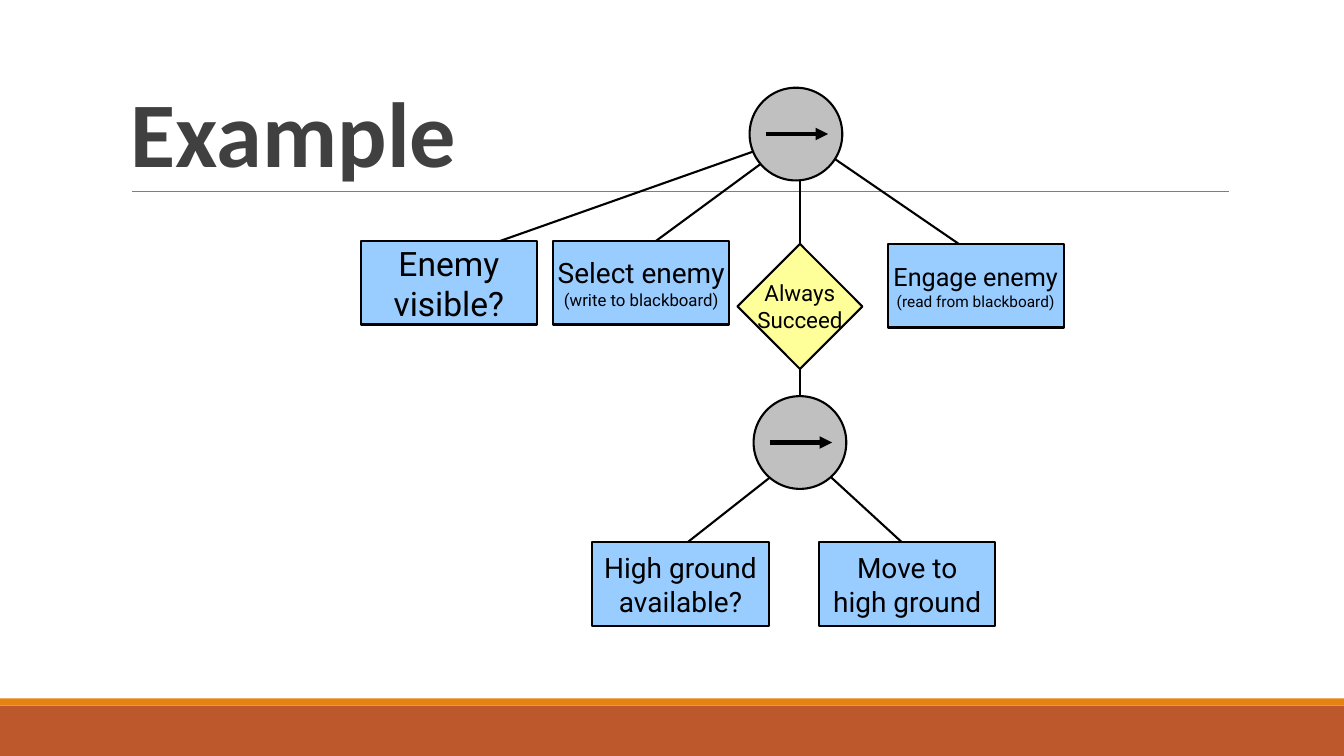
from dataclasses import dataclass
from lxml.etree import SubElement
from pptx import Presentation
from pptx.dml.color import RGBColor
from pptx.enum.shapes import MSO_CONNECTOR as Link, MSO_SHAPE as Shape
from pptx.enum.text import MSO_ANCHOR as Anchor, MSO_AUTO_SIZE as AutoSize, PP_ALIGN as Align
from pptx.oxml.ns import qn
from pptx.util import Inches, Pt


@dataclass(frozen=True)
class Theme:
    title_font: str = "Calibri"
    node_font: str = "Roboto"
    title_size: float = 66
    line_width: float = 1.5
    arrow_width: float = 3
    rule_width: float = 0.5
    title_color: str = "404040"
    ink: str = "000000"
    rule: str = "7F7F7F"
    band: str = "BD582C"
    stripe: str = "E48312"
    action: str = "99CCFF"
    decorator: str = "FFFF99"
    sequence: str = "C0C0C0"


@dataclass(frozen=True)
class Box:
    left: float
    top: float
    width: float
    height: float

    def inner(self, left, top, width, height):
        return Box(self.left + left, self.top + top, width, height)

    def point(self, x, y):
        return Inches(self.left + x), Inches(self.top + y)

    def lengths(self):
        return [Inches(side) for side in (self.left, self.top, self.width, self.height)]


THEME = Theme()
ACTION_SIZE = 1.75, 0.83
DECORATOR_SIZE = 1.24, 1.24
CIRCLE = 0.92
ARROW_LENGTH = 0.62
ARROW_START = 0.16, 0.46

ROOT = 4.36, 0.47
BRANCHES = [
    (ROOT, (0.82, 1.72)),
    (ROOT, (2.66, 1.72)),
    (ROOT, (4.36, 3.11)),
    (ROOT, (6.2, 1.73)),
    ((4.38, 3.6), (5.47, 4.6)),
    ((4.3, 3.68), (3.13, 4.6)),
]
ACTIONS = [
    ((0, 1.52), [("Enemy", 24), ("visible?", 24)]),
    ((1.91, 1.52), [("Select enemy", 20), ("(write to blackboard)", 12)]),
    ((5.23, 1.55), [("Engage enemy", 18), ("(read from blackboard)", 11)]),
    ((2.3, 4.51), [("High ground", 20), ("available?", 20)]),
    ((4.55, 4.51), [("Move to", 20), ("high ground", 20)]),
]
SEQUENCES = [(3.86, 0), (3.9, 3.06)]
DECORATOR = (3.74, 1.55), [("Always", 16), ("Succeed", 16)]


def add_block(page, kind, box, fill, outlined=True):
    block = page.shapes.add_shape(kind, *box.lengths())
    block.shadow.inherit = False
    block.fill.solid()
    block.fill.fore_color.rgb = RGBColor.from_string(fill)
    if outlined:
        block.line.color.rgb = RGBColor.from_string(THEME.ink)
        block.line.width = Pt(THEME.line_width)
    else:
        block.line.fill.background()
    return block


def add_line(page, box, start, end, color, width, arrow=False):
    line = page.shapes.add_connector(Link.STRAIGHT, *box.point(*start), *box.point(*end))
    line.line.color.rgb = RGBColor.from_string(color)
    line.line.width = Pt(width)
    if arrow:
        SubElement(line.line._get_or_add_ln(), qn("a:tailEnd"), type="triangle")
    SubElement(line._element.spPr, qn("a:effectLst"))


def add_node(page, kind, box, fill, lines):
    frame = add_block(page, kind, box, fill).text_frame
    frame.word_wrap = False
    frame.vertical_anchor = Anchor.MIDDLE
    for index, (text, size) in enumerate(lines):
        para = frame.paragraphs[0] if index == 0 else frame.add_paragraph()
        para.text = text
        para.alignment = Align.CENTER
        para.font.name = THEME.node_font
        para.font.size = Pt(size)
        para.font.color.rgb = RGBColor.from_string(THEME.ink)


def add_sequence(page, box):
    add_block(page, Shape.OVAL, box, THEME.sequence)
    x, y = ARROW_START
    add_line(page, box, (x, y), (x + ARROW_LENGTH, y), THEME.ink, THEME.arrow_width, arrow=True)


def add_footer(page, box):
    stripe_height = 0.07
    band = box.inner(0, stripe_height, box.width, box.height - stripe_height)
    add_block(page, Shape.RECTANGLE, band, THEME.band, outlined=False)
    stripe = box.inner(0, 0, box.width, stripe_height)
    add_block(page, Shape.RECTANGLE, stripe, THEME.stripe, outlined=False)


def add_heading(page, box, text):
    title = page.shapes.title
    title.left, title.top, title.width, title.height = box.lengths()
    frame = title.text_frame
    frame.word_wrap = True
    frame.auto_size = AutoSize.NONE
    frame.vertical_anchor = Anchor.BOTTOM
    para = frame.paragraphs[0]
    para.text = text
    para.alignment = Align.LEFT
    para.line_spacing = 0.85
    para.font.name = THEME.title_font
    para.font.size = Pt(THEME.title_size)
    para.font.bold = True
    para.font.color.rgb = RGBColor.from_string(THEME.title_color)
    add_line(page, box, (0.11, box.height), (box.width, box.height), THEME.rule, THEME.rule_width)


def add_behavior_tree(page, box):
    for start, end in BRANCHES:
        add_line(page, box, start, end, THEME.ink, THEME.line_width)
    for corner, lines in ACTIONS:
        add_node(page, Shape.RECTANGLE, box.inner(*corner, *ACTION_SIZE), THEME.action, lines)
    for corner in SEQUENCES:
        add_sequence(page, box.inner(*corner, CIRCLE, CIRCLE))
    corner, lines = DECORATOR
    add_node(page, Shape.DIAMOND, box.inner(*corner, *DECORATOR_SIZE), THEME.decorator, lines)


def main():
    deck = Presentation()
    deck.slide_width, deck.slide_height = Inches(13.34), Inches(7.5)
    page = deck.slides.add_slide(deck.slide_layouts[5])
    add_footer(page, Box(0, 6.93, 13.34, 0.57))
    add_heading(page, Box(1.2, 0.31, 11, 1.59), "Example")
    add_behavior_tree(page, Box(3.58, 0.87, 6.98, 5.34))
    deck.save("out.pptx")


if __name__ == "__main__":
    main()
